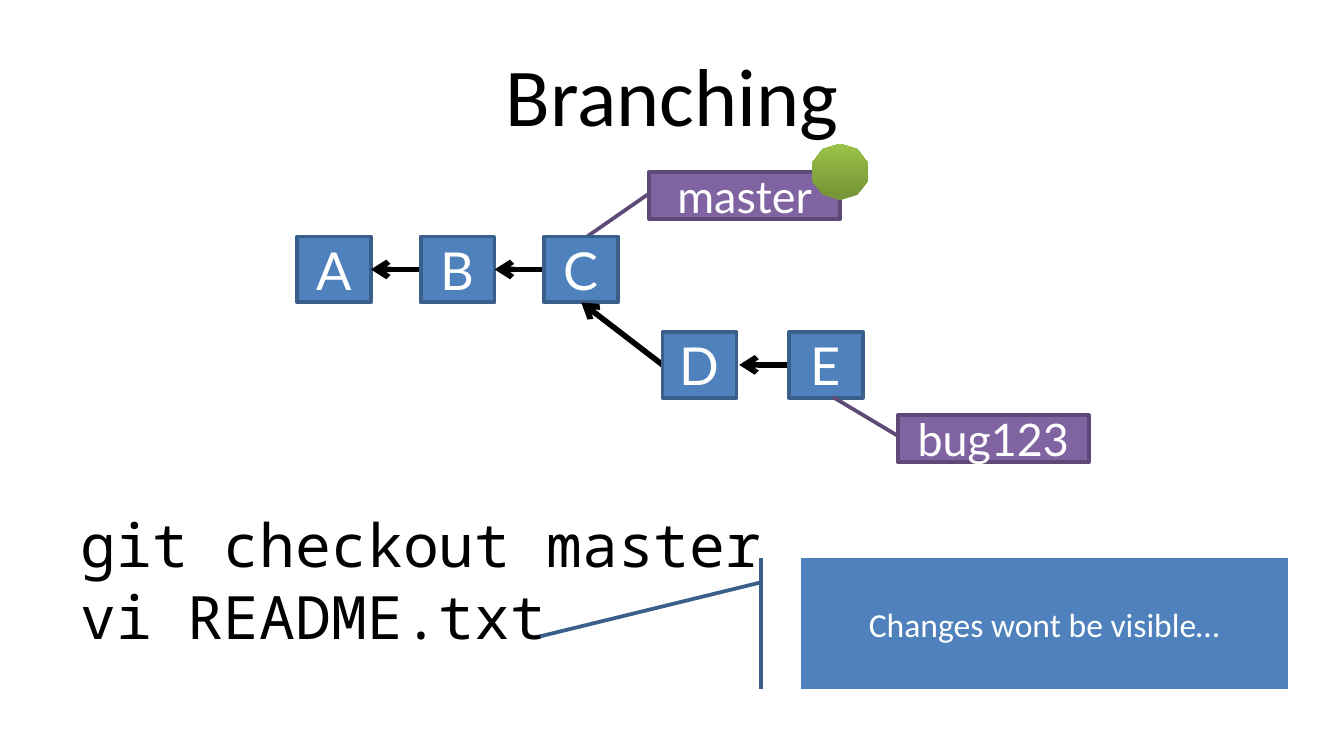
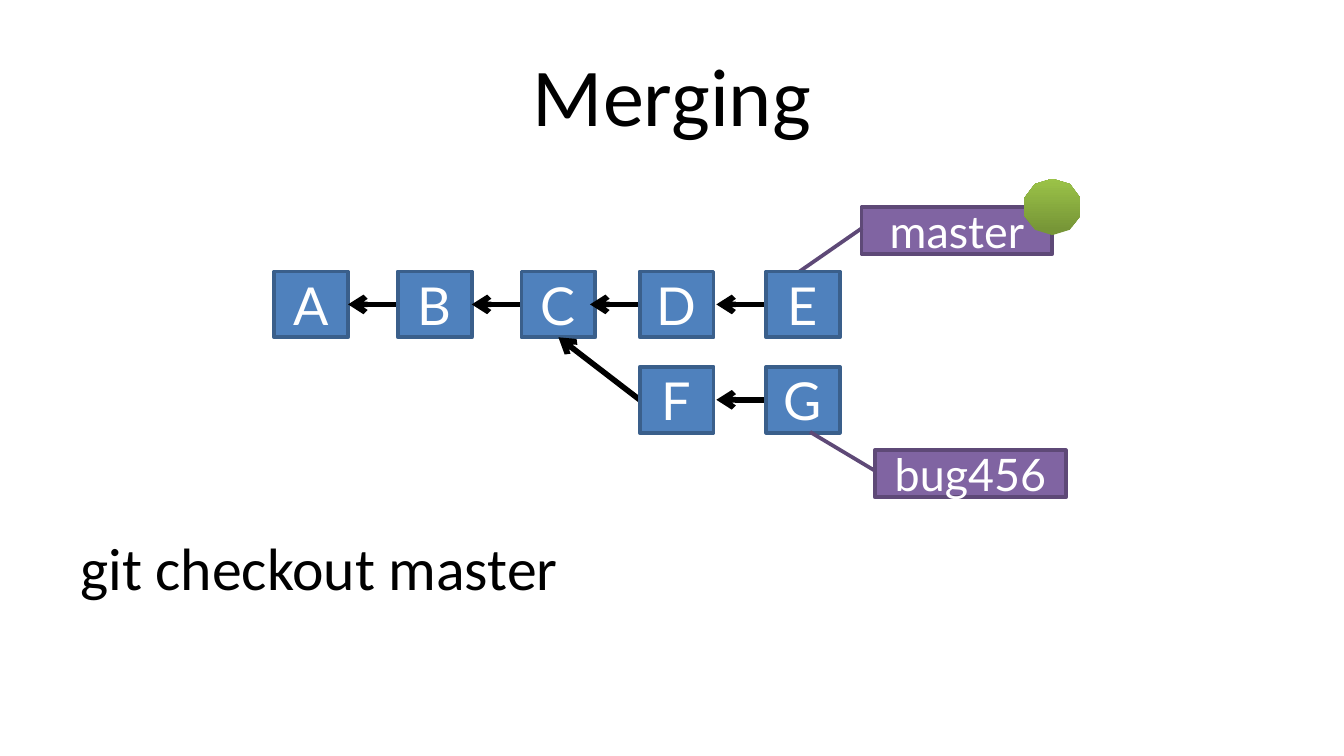
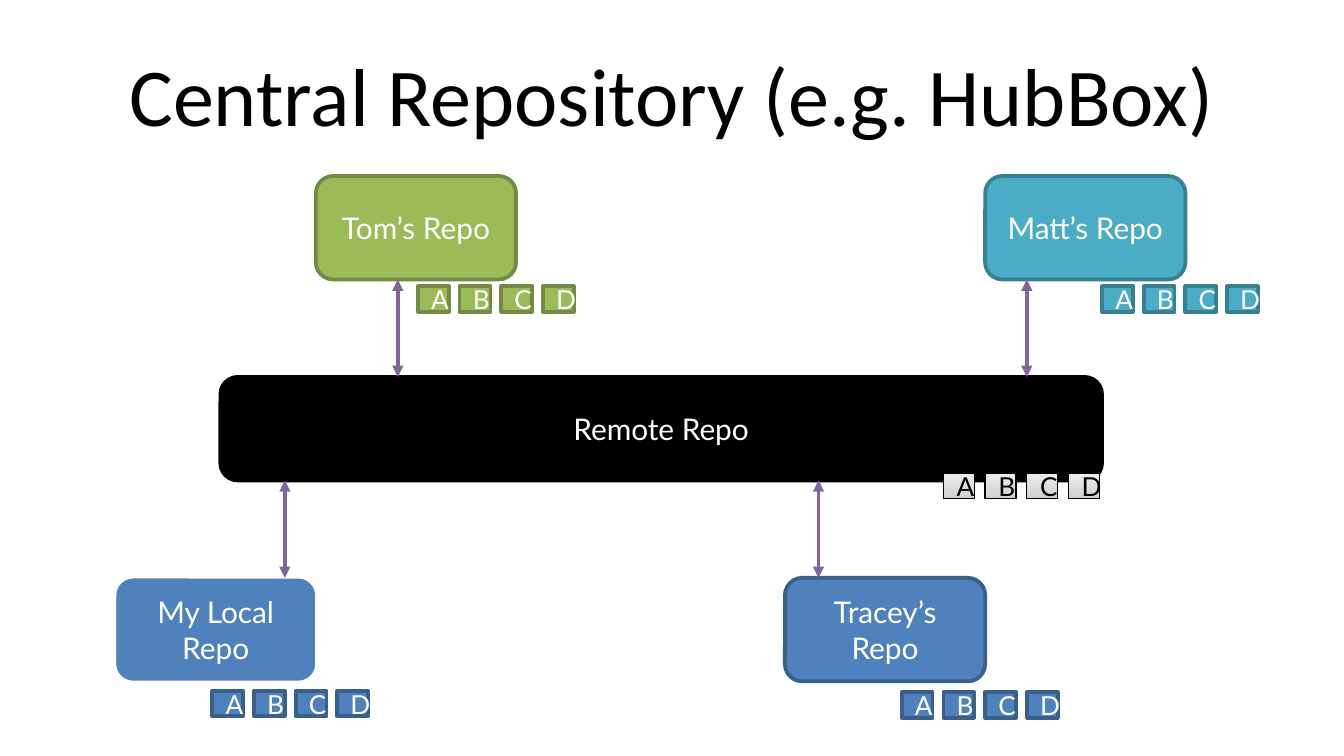
from dataclasses import dataclass
from typing import Optional, Union

from lxml.etree import SubElement
from pptx import Presentation
from pptx.dml.color import RGBColor
from pptx.enum.shapes import MSO_CONNECTOR as Connector, MSO_SHAPE as Shape
from pptx.enum.text import MSO_ANCHOR as Anchor, PP_ALIGN as Align
from pptx.oxml.ns import qn
from pptx.util import Inches, Pt

# Every length is counted in cells of a square grid, 100 cells to the slide width.
COLUMNS, ROWS = 100, 56.25
CELL = 0.1

COLORS = {
    "black": "000000", "white": "FFFFFF",
    "blue": "4F81BD", "blue edge": "3A5F8B",
    "purple": "8064A2", "purple edge": "5E4977",
    "green": "9BBB59", "green edge": "728A41",
    "teal": "4BACC6", "teal edge": "377F92",
    "leaf dark": "779637", "leaf light": "9BC348",
    "grey dark": "D0D0D0", "grey light": "EDEDED",
}
HEADING, LABEL, CODE = "Calibri", "Lato", "Noto Sans Mono"


@dataclass(frozen=True)
class Tone:
    """Fill (one colour, or bottom and top of a gradient), outline and text."""
    fill: Union[str, tuple[str, str]]
    edge: Optional[str]
    text: str = "white"
    weight: float = 2


BLUE = Tone("blue", "blue edge")
LOCAL = Tone("blue", "white", weight=0.75)
PURPLE = Tone("purple", "purple edge")
GREEN = Tone("green", "green edge")
TEAL = Tone("teal", "teal edge")
BLACK = Tone("black", "black")
GREY = Tone(("grey dark", "grey light"), "black", "black", 0.75)
LEAF = Tone(("leaf dark", "leaf light"), None)


@dataclass(frozen=True)
class Frame:
    """Position and size in grid cells."""
    left: float
    top: float
    width: float
    height: float

    def lengths(self) -> list:
        """Give the four lengths as slide units."""
        return [cells(n) for n in (self.left, self.top, self.width, self.height)]


@dataclass(frozen=True)
class Commit:
    """A commit in a history column and branch row, pointing to its parent."""
    name: str
    column: int
    row: int = 0
    parent: Optional[str] = None


@dataclass(frozen=True)
class Tag:
    """A branch label, shifted from the commit it names."""
    name: str
    commit: str
    shift: tuple[float, float]
    pointer: tuple[float, ...]


@dataclass(frozen=True)
class Repo:
    """A repository box with the start of its row of commit tiles."""
    label: str
    frame: Frame
    tone: Tone
    tiles: tuple[float, float]
    tile_tone: Tone


def cells(count: float) -> int:
    """Turn grid cells into slide units."""
    return Inches(count * CELL)


def color(name: str) -> RGBColor:
    """Look up a palette colour."""
    return RGBColor.from_string(COLORS[name])


def write(frame, lines: list[str], font: str, size: float, tint: str,
          align=Align.CENTER) -> None:
    """Fill a text frame with one paragraph for each line."""
    frame.word_wrap = True
    for index, line in enumerate(lines):
        para = frame.paragraphs[0] if index == 0 else frame.add_paragraph()
        para.alignment = align
        span = para.add_run()
        span.text = line
        span.font.name, span.font.size = font, Pt(size)
        span.font.color.rgb = color(tint)


def add_page(deck, heading: str):
    """Add a title-only page and format its heading."""
    page = deck.slides.add_slide(deck.slide_layouts[5])
    title = page.shapes.title
    title.left, title.top, title.width, title.height = Frame(5, 2.3, 90, 9.4).lengths()
    title.text_frame.vertical_anchor = Anchor.MIDDLE
    write(title.text_frame, [heading], HEADING, 44, "black")
    return page


def add_commands(page, frame: Frame, lines: list[str], font: str) -> None:
    """Add the typed commands below a diagram."""
    box = page.shapes.add_textbox(*frame.lengths())
    write(box.text_frame, lines, font, 32, "black", Align.LEFT)


def add_block(page, kind, frame: Frame, tone: Tone, label: str = "", size: float = 16,
              font: str = LABEL, adjust: tuple[float, ...] = ()):
    """Add a preset shape with its tone, adjustments and centred label."""
    box = page.shapes.add_shape(kind, *frame.lengths())
    box.shadow.inherit = False
    for index, value in enumerate(adjust):
        box.adjustments[index] = value
    if isinstance(tone.fill, tuple):
        box.fill.gradient()
        box.fill.gradient_angle = 90
        for stop, name in zip(box.fill.gradient_stops, tone.fill):
            stop.color.rgb = color(name)
    else:
        box.fill.solid()
        box.fill.fore_color.rgb = color(tone.fill)
    if tone.edge:
        box.line.color.rgb = color(tone.edge)
        box.line.width = Pt(tone.weight)
    else:
        box.line.fill.background()
    if label:
        box.text_frame.vertical_anchor = Anchor.MIDDLE
        write(box.text_frame, [label], font, size, tone.text)
    return box


def add_arrow(page, start: tuple[float, float], end: tuple[float, float], tint: str,
              weight: float, **heads: str) -> None:
    """Add a straight arrow; heads maps headEnd and tailEnd to their kinds."""
    line = page.shapes.add_connector(
        Connector.STRAIGHT, *[cells(n) for n in (*start, *end)])
    line.line.color.rgb = color(tint)
    line.line.width = Pt(weight)
    properties = line.element.spPr
    outline = properties.find(qn("a:ln"))
    for end_name, kind in heads.items():
        SubElement(outline, qn(f"a:{end_name}"), type=kind)
    SubElement(properties, qn("a:effectLst"))


# Commit history: column and row offsets from the first commit.
HISTORY_COLUMNS = (0, 9.2, 18.4, 27.2, 36.6)
BRANCH_PITCH = 7.1
COMMIT_WIDTH, COMMIT_HEIGHT = 5.5, 4.9
ARROW_LENGTH = 3.7
ABOVE = (0.446, 0.004, 1.383, -0.329)
BELOW = (0.446, 0.004, -0.389, -0.34)


def commit_frame(origin: tuple[float, float], commit: Commit) -> Frame:
    """Place a commit in the history grid."""
    return Frame(origin[0] + HISTORY_COLUMNS[commit.column],
                 origin[1] + commit.row * BRANCH_PITCH, COMMIT_WIDTH, COMMIT_HEIGHT)


def add_tag(page, tag: Tag, target: Frame) -> Frame:
    """Add a branch label whose pointer reaches its commit."""
    frame = Frame(target.left + tag.shift[0], target.top + tag.shift[1], 14.2, 3.5)
    add_block(page, Shape.LINE_CALLOUT_1, frame, PURPLE, tag.name, 24, adjust=tag.pointer)
    return frame


def add_history(page, origin: tuple[float, float], commits: list[Commit],
                master: Tag, branch: Tag) -> None:
    """Draw commits, parent arrows, both labels and the badge on the current one."""
    places = {commit.name: commit_frame(origin, commit) for commit in commits}
    rows = {commit.name: commit.row for commit in commits}
    current = add_tag(page, master, places[master.commit])
    for commit in commits:
        place = places[commit.name]
        if commit.parent:
            start = (place.left, place.top + COMMIT_HEIGHT / 2)
            end = (start[0] - ARROW_LENGTH, start[1])
            if rows[commit.parent] != commit.row:
                parent = places[commit.parent]
                end = (parent.left + COMMIT_WIDTH / 2, parent.top + COMMIT_HEIGHT)
            add_arrow(page, start, end, "black", 3, tailEnd="arrow")
        add_block(page, Shape.RECTANGLE, place, BLUE, commit.name, 28)
    add_tag(page, branch, places[branch.commit])
    badge = Frame(current.left + 12.1, current.top - 2.1, 4.2, 3.8)
    add_block(page, Shape.STAR_5_POINT, badge, LEAF, adjust=(0.5,))


TILE_PITCH = 3.1


def add_tiles(page, repo: Repo) -> None:
    """Draw the row of commit tiles that a repository holds."""
    left, top = repo.tiles
    for index, name in enumerate("ABCD"):
        frame = Frame(left + index * TILE_PITCH, top, 2.3, 1.9)
        add_block(page, Shape.RECTANGLE, frame, repo.tile_tone, name, 14)


def branching_page(deck) -> None:
    """Build the page on branching."""
    page = add_page(deck, "Branching")
    add_commands(page, Frame(5, 37.3, 57.5, 13),
                 ["git checkout master", "vi README.txt"], CODE)
    commits = [Commit("A", 0), Commit("B", 1, 0, "A"), Commit("C", 2, 0, "B"),
               Commit("D", 3, 1, "C"), Commit("E", 4, 1, "D")]
    add_history(page, (22.1, 17.6), commits, Tag("master", "C", (7.8, -4.8), ABOVE),
                Tag("bug123", "E", (8.1, 6.2), BELOW))
    add_block(page, Shape.LINE_CALLOUT_1_ACCENT_BAR, Frame(59.6, 41.5, 36.2, 9.8), BLUE,
              "Changes wont be visible…", 18, HEADING, (0.188, -0.083, 0.597, -0.536))


def merging_page(deck) -> None:
    """Build the page on merging."""
    page = add_page(deck, "Merging")
    add_commands(page, Frame(5, 39, 90, 11.3), ["git checkout master"], HEADING)
    commits = [Commit("A", 0), Commit("B", 1, 0, "A"), Commit("C", 2, 0, "B"),
               Commit("D", 3, 0, "C"), Commit("E", 4, 0, "D"),
               Commit("F", 3, 1, "C"), Commit("G", 4, 1, "F")]
    add_history(page, (20.4, 20.2), commits, Tag("master", "E", (7.1, -4.8), ABOVE),
                Tag("bug456", "G", (8.1, 6.2), BELOW))


def repository_page(deck) -> None:
    """Build the page on the central repository."""
    page = add_page(deck, "Central Repository (e.g. HubBox)")
    upper, lower, width, height = 13.1, 43, 14.9, 7.7
    hub = Frame(16.4, 28.05, 65.6, height)
    repos = [
        Repo("My Local Repo", Frame(8.6, lower, width, height), LOCAL, (15.8, 51.4), BLUE),
        Repo("Tom’s Repo", Frame(23.5, upper, width, height), GREEN, (31.1, 21.3), GREEN),
        Repo("Tracey’s Repo", Frame(58.4, lower, width, height), BLUE, (67.1, 51.5), BLUE),
        Repo("Matt’s Repo", Frame(73.3, upper, width, height), TEAL, (82, 21.3), TEAL),
        Repo("Remote Repo", hub, BLACK, (70.2, 35.2), GREY),
    ]
    for repo in repos:
        add_block(page, Shape.ROUNDED_RECTANGLE, repo.frame, repo.tone, repo.label,
                  adjust=(0.167,))
        add_tiles(page, repo)
    above, below = (hub.top, upper + height), (lower, hub.top + height)
    for across, (start, end) in ((21.2, below), (29.6, above), (60.9, below), (76.4, above)):
        add_arrow(page, (across, start), (across, end), "purple", 2,
                  headEnd="triangle", tailEnd="triangle")


deck = Presentation()
deck.slide_width, deck.slide_height = cells(COLUMNS), cells(ROWS)
branching_page(deck)
merging_page(deck)
repository_page(deck)
deck.save("out.pptx")
